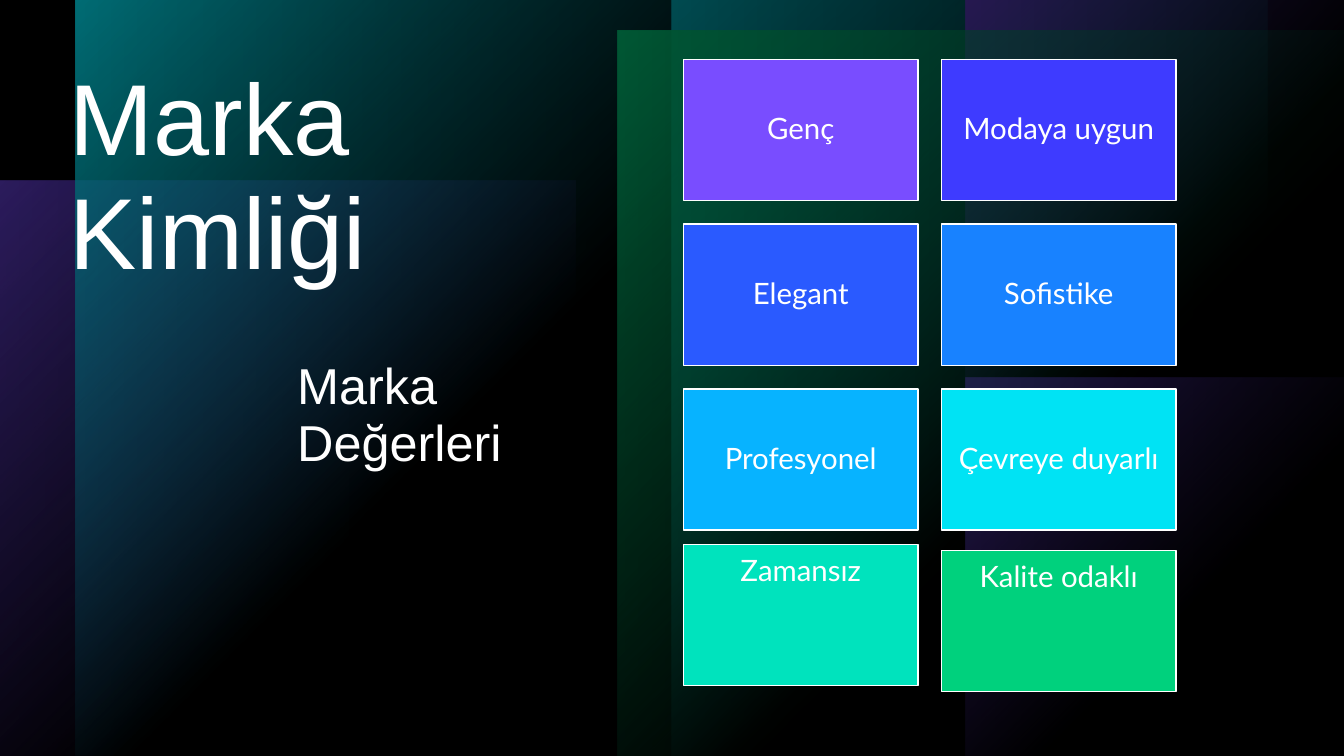
from collections import namedtuple
from dataclasses import dataclass

from lxml.etree import SubElement
from pptx import Presentation
from pptx.dml.color import RGBColor
from pptx.enum.shapes import MSO_SHAPE as Shape
from pptx.enum.text import MSO_ANCHOR as Anchor, MSO_AUTO_SIZE as AutoSize, PP_ALIGN as Align
from pptx.oxml.ns import qn
from pptx.util import Cm, Pt

Box = namedtuple("Box", "left top width height")
Glow = namedtuple("Glow", "box color alpha")


@dataclass(frozen=True)
class Theme:
    black: str = "000000"
    white: str = "FFFFFF"
    purple: str = "794DFF"
    teal: str = "00BAC8"
    green: str = "00D17D"
    tiles: tuple = ("794DFF", "3E3BFF", "2A5AFF", "1882FF",
                    "07B3FF", "00E3F4", "00E3BD", "00D17D")
    heading_font: str = "Arial"
    tile_font: str = "Lato"
    title_size: int = 72
    subtitle_size: int = 36
    tile_size: int = 21
    heading_spacing: float = 0.94
    tile_spacing: float = 0.9


THEME = Theme()
PAGE = Box(0, 0, 33.87, 19.05)
VALUES = ("Genç", "Modaya uygun", "Elegant", "Sofistike",
          "Profesyonel", "Çevreye duyarlı", "Zamansız", "Kalite odaklı")


def rgb(color):
    return RGBColor.from_string(color)


def lengths(box):
    return [Cm(value) for value in box]


def add_rectangle(page, box):
    shape = page.shapes.add_shape(Shape.RECTANGLE, *lengths(box))
    shape.shadow.inherit = False
    return shape


def add_gradient(page, box, angle, stops):
    shape = add_rectangle(page, box)
    shape.line.fill.background()
    shape.fill.gradient()
    shape.fill.gradient_angle = angle
    for stop, (position, color, alpha) in zip(shape.fill.gradient_stops, stops):
        stop.position = position
        stop.color.rgb = rgb(color)
    for color, (position, name, alpha) in zip(shape.element.iter(qn("a:srgbClr")), stops):
        SubElement(color, qn("a:alpha"), val=str(alpha * 1000))


def write(frame, lines, font, size, spacing, align):
    frame.word_wrap = True
    frame.auto_size = AutoSize.NONE
    for index, line in enumerate(lines):
        para = frame.add_paragraph() if index else frame.paragraphs[0]
        para.alignment = align
        para.line_spacing = spacing
        para.space_before = Pt(0)
        span = para.add_run()
        span.text = line
        span.font.name = font
        span.font.size = Pt(size)
        span.font.color.rgb = rgb(THEME.white)


def draw_backdrop(page, box):
    page.background.fill.solid()
    page.background.fill.fore_color.rgb = rgb(THEME.black)
    panel, square, green = 15.01, 9.53, 18.29
    right, bottom = box.left + box.width, box.top + box.height
    glows = (
        Glow(Box(box.left, bottom - 14.5, 14.5, 14.5), THEME.purple, 60),
        Glow(Box(box.left + 16.92, box.top, panel, box.height), THEME.teal, 100),
        Glow(Box(box.left + 1.91, box.top, panel, box.height), THEME.teal, 100),
        Glow(Box(right - square, bottom - square, square, square), THEME.purple, 100),
        Glow(Box(right - square, box.top, square, square), THEME.purple, 100),
        Glow(Box(right - green - 0.02, bottom - green, green, green), THEME.green, 100),
    )
    for glow in glows:
        add_gradient(page, glow.box, 315,
                     ((0, glow.color, glow.alpha), (0.6, glow.color, 0)))
    add_gradient(page, box, 0, ((0, THEME.black, 40), (1, THEME.black, 80)))


def draw_headings(page, box):
    title = page.shapes.title
    title.element.getparent().append(title.element)
    title.left, title.top, title.width, title.height = lengths(box)
    title.text_frame.vertical_anchor = Anchor.TOP
    write(title.text_frame, ["Marka Kimliği"], THEME.heading_font,
          THEME.title_size, THEME.heading_spacing, Align.LEFT)
    place = box._replace(left=box.left + 5.74, top=box.top + 7.42)
    subtitle = page.shapes.add_textbox(*lengths(place))
    write(subtitle.text_frame, ["Marka", "Değerleri"], THEME.heading_font,
          THEME.subtitle_size, THEME.heading_spacing, Align.LEFT)


def draw_tile(page, box, label, color, anchor):
    tile = add_rectangle(page, box)
    tile.fill.solid()
    tile.fill.fore_color.rgb = rgb(color)
    tile.line.color.rgb = rgb(THEME.white)
    tile.line.width = Pt(1)
    frame = tile.text_frame
    frame.margin_left = frame.margin_right = Cm(0.23)
    frame.margin_top = frame.margin_bottom = Cm(0.3)
    frame.vertical_anchor = anchor
    write(frame, [label], THEME.tile_font, THEME.tile_size,
          THEME.tile_spacing, Align.CENTER)


def draw_values(page, box):
    width, height = 5.92, 3.56
    step_across, step_down = box.width - width, 4.15
    last_row_tops = (box.height - height - 0.15, box.height - height)
    for index, (label, color) in enumerate(zip(VALUES, THEME.tiles)):
        row, column = divmod(index, 2)
        last = row == 3
        down = last_row_tops[column] if last else row * step_down
        place = Box(box.left + column * step_across, box.top + down, width, height)
        draw_tile(page, place, label, color, Anchor.TOP if last else Anchor.MIDDLE)


def main():
    deck = Presentation()
    deck.slide_width, deck.slide_height = Cm(PAGE.width), Cm(PAGE.height)
    page = deck.slides.add_slide(deck.slide_layouts[5])
    draw_backdrop(page, PAGE)
    draw_headings(page, Box(1.5, 1.5, 12.5, 7.34))
    draw_values(page, Box(17.22, 1.5, 12.42, 15.93))
    deck.save("out.pptx")


if __name__ == "__main__":
    main()
